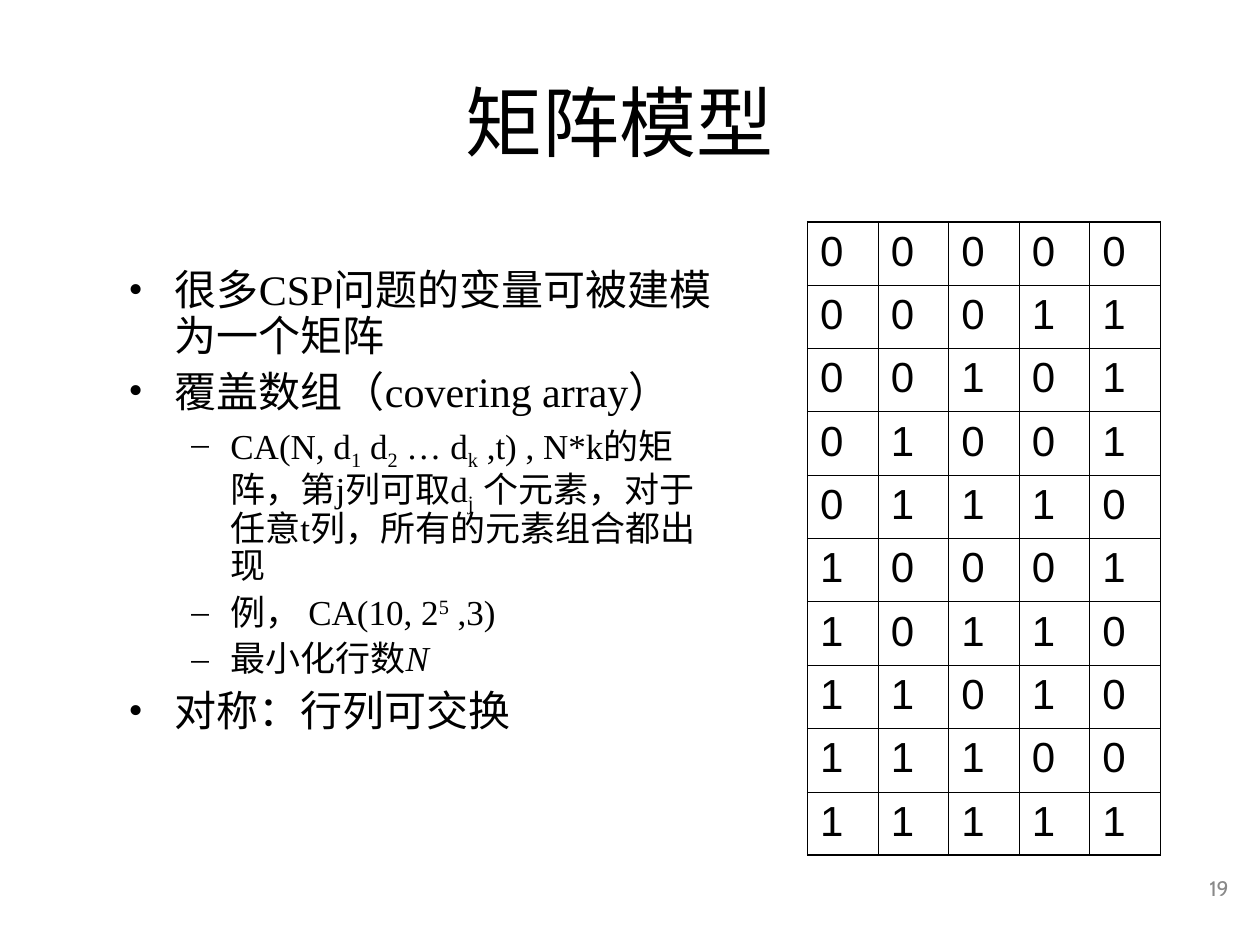
"""Build a slide on matrix models with a covering array table."""
from lxml import etree
from pptx import Presentation, util as u
from pptx.dml.color import RGBColor
from pptx.enum import text
from pptx.oxml import ns

BLACK = RGBColor(0x00, 0x00, 0x00)
GRAY = RGBColor(0x89, 0x89, 0x89)
SUBSCRIPT, SUPERSCRIPT = -25, 30
THIN, THICK = u.Pt(0.45), u.Pt(1.08)


def set_font(font, name, size, color=BLACK):
    font.name = name
    font.size = u.Pt(size)
    font.color.rgb = color


def add_color(parent, tag, color):
    element = etree.SubElement(parent, ns.qn(tag))
    etree.SubElement(element, ns.qn("a:srgbClr"), val=str(color))


presentation = Presentation()
presentation.slide_width = u.Inches(10)
presentation.slide_height = u.Inches(7.5)
slide = presentation.slides.add_slide(presentation.slide_layouts[5])

title = slide.shapes.title
title.left, title.top = u.Inches(0.67), u.Inches(0.33)
title.width, title.height = u.Inches(8.5), u.Inches(1.25)
title.text_frame.text = "矩阵模型"
title.text_frame.vertical_anchor = text.MSO_ANCHOR.MIDDLE
paragraph = title.text_frame.paragraphs[0]
paragraph.alignment = text.PP_ALIGN.CENTER
set_font(paragraph.font, "Arial", 44)

points = [
    (0, [("很多CSP问题的变量可被建模为一个矩阵", 0)]),
    (0, [("覆盖数组（covering array）", 0)]),
    (1, [("CA(N, d", 0), ("1", SUBSCRIPT), (" d", 0), ("2", SUBSCRIPT),
         (" … d", 0), ("k", SUBSCRIPT), (" ,t) , N*k的矩阵，第j列可取d", 0),
         ("j  ", SUBSCRIPT), ("个元素，对于任意t列，所有的元素组合都出现", 0)]),
    (1, [("例， CA(10, 2", 0), ("5", SUPERSCRIPT), (" ,3)", 0)]),
    (1, [("最小化行数", 0), ("N", 0)]),
    (0, [("对称：行列可交换", 0)]),
]
level_styles = [("•", 0.37, 0.37, 24, 6), ("–", 0.81, 0.31, 20, 5)]

body = slide.shapes.add_textbox(u.Inches(0.92), u.Inches(2.09), u.Inches(4.93), u.Inches(4.5))
body.text_frame.word_wrap = True
for index, (level, runs) in enumerate(points):
    bullet, margin, hanging, size, space_before = level_styles[level]
    paragraph = body.text_frame.paragraphs[0] if index == 0 else body.text_frame.add_paragraph()
    paragraph.level = level
    paragraph.line_spacing = 0.9
    paragraph.space_before = u.Pt(space_before)
    properties = paragraph._p.get_or_add_pPr()
    properties.set("marL", str(u.Inches(margin)))
    properties.set("indent", str(-u.Inches(hanging)))
    properties.set("hangingPunct", "0")
    add_color(properties, "a:buClr", BLACK)
    etree.SubElement(properties, ns.qn("a:buFont"), typeface="Times New Roman")
    etree.SubElement(properties, ns.qn("a:buChar"), char=bullet)
    set_font(paragraph.font, "Times New Roman", size)
    for content, baseline in runs:
        run = paragraph.add_run()
        run.text = content
        if baseline:
            run._r.get_or_add_rPr().set("baseline", str(baseline * 1000))
        if content == "N":
            run.font.italic = True

array_rows = ["00000", "00011", "00101", "01001", "01110",
              "10001", "10110", "11010", "11100", "11111"]
row_count, column_count = len(array_rows), len(array_rows[0])
table = slide.shapes.add_table(row_count, column_count, u.Inches(6.41), u.Inches(1.76),
                               u.Inches(2.8), u.Inches(5.03)).table
table.first_row = False
table.horz_banding = False
for row, digits in enumerate(array_rows):
    for column, digit in enumerate(digits):
        cell = table.cell(row, column)
        cell.text = digit
        paragraph = cell.text_frame.paragraphs[0]
        paragraph.space_before = u.Pt(6)
        set_font(paragraph.font, "Arial", 24)
        outer_edges = {
            "a:lnL": column == 0,
            "a:lnR": column == column_count - 1,
            "a:lnT": row == 0,
            "a:lnB": row == row_count - 1,
        }
        cell_properties = cell._tc.get_or_add_tcPr()
        for tag, is_outer in outer_edges.items():
            border = etree.SubElement(cell_properties, ns.qn(tag), w=str(THICK if is_outer else THIN))
            add_color(border, "a:solidFill", BLACK)
        cell.fill.background()

slide_number = slide.shapes.add_textbox(u.Inches(7.77), u.Inches(6.8), u.Inches(2.08), u.Inches(0.5))
slide_number.text_frame.word_wrap = True
slide_number.text_frame.vertical_anchor = text.MSO_ANCHOR.MIDDLE
slide_number.text_frame.text = "19"
paragraph = slide_number.text_frame.paragraphs[0]
paragraph.alignment = text.PP_ALIGN.RIGHT
set_font(paragraph.font, "Cabin", 12, GRAY)

presentation.save("out.pptx")
